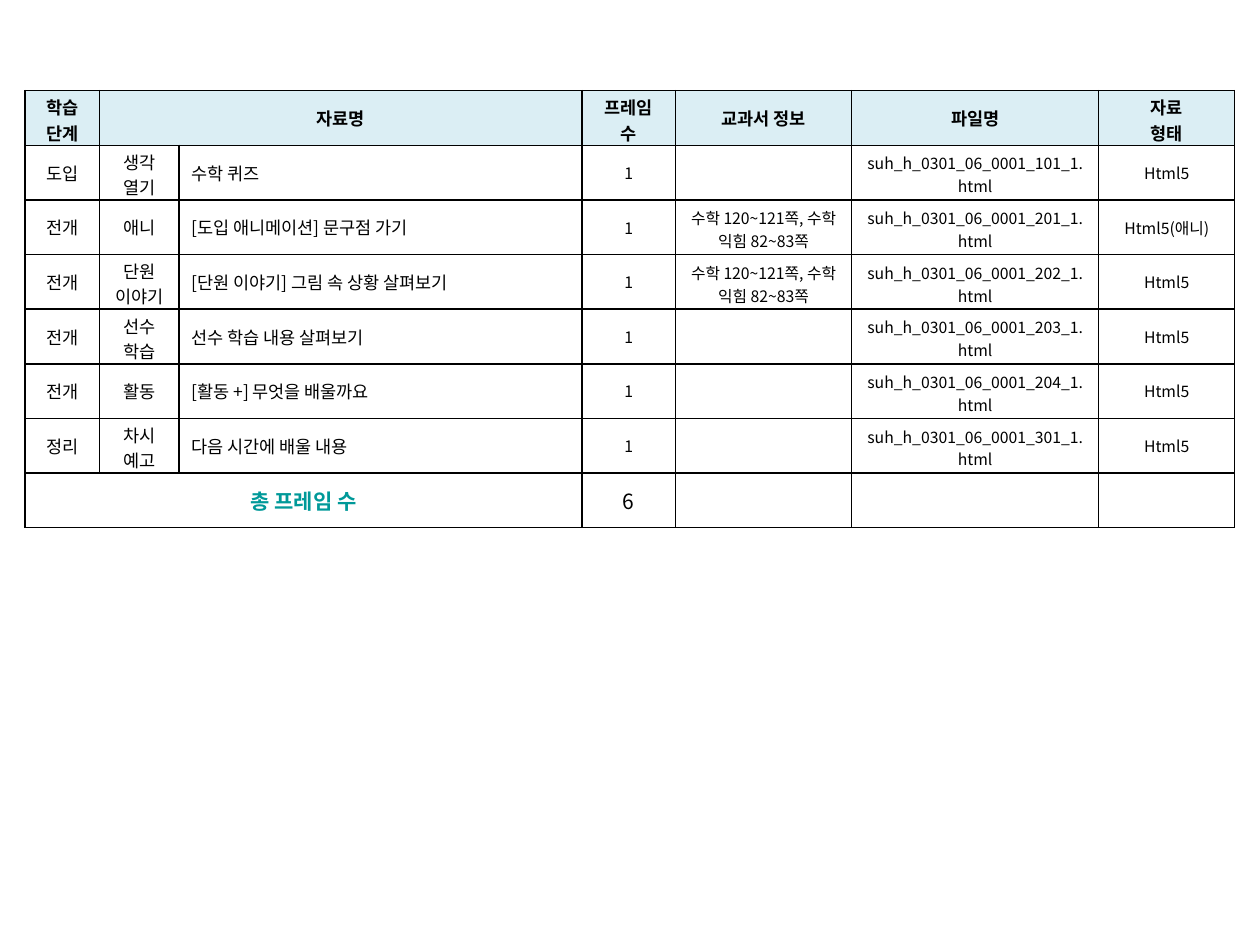
from lxml import etree
from pptx import Presentation
from pptx import util as u
from pptx.dml.color import RGBColor
from pptx.enum import text
from pptx.oxml import ns

FONT = "Noto Sans CJK KR"
COLUMN_WIDTHS = [0.59, 0.63, 3.2, 0.74, 1.4, 1.96, 1.08]
HEADINGS = ["학습 단계", "자료명", "", "프레임 수", "교과서 정보", "파일명", "자료\n형태"]
PAGES = "수학 120~121쪽, 수학 익힘 82~83쪽"
LESSONS = [
    ("도입", "생각\n열기", "수학 퀴즈", "", "101", "Html5"),
    ("전개", "애니", "[도입 애니메이션] 문구점 가기", PAGES, "201", "Html5(애니)"),
    ("전개", "단원\n이야기", "[단원 이야기] 그림 속 상황 살펴보기", PAGES, "202", "Html5"),
    ("전개", "선수\v학습", "선수 학습 내용 살펴보기", "", "203", "Html5"),
    ("전개", "활동", "[활동 +] 무엇을 배울까요", "", "204", "Html5"),
    ("정리", "차시 예고", "다음 시간에 배울 내용", "", "301", "Html5"),
]
NAME_COLUMN = 2
FRAME_COLUMN = 3
TWO_LINE_HEADINGS = {0, 3, 6}
TWO_LINE_COLUMNS = {1, 4, 5}


def color(hex_code):
    """Return the colour for a hex string."""
    return RGBColor.from_string(hex_code)


def add_borders(cell, hex_code="000000", points=1):
    """Draw a solid line on each side of a cell."""
    properties = cell._tc.get_or_add_tcPr()
    for side in ("lnL", "lnR", "lnT", "lnB"):
        line = etree.SubElement(properties, ns.qn(f"a:{side}"), w=str(u.Pt(points)))
        fill = etree.SubElement(line, ns.qn("a:solidFill"))
        etree.SubElement(fill, ns.qn("a:srgbClr"), val=hex_code)


def style_font(font, size, bold, hex_code):
    """Set the face, size, weight and colour of a font."""
    font.size, font.bold, font.name = u.Pt(size), bold, FONT
    font.color.rgb = color(hex_code)
    etree.SubElement(font._element, ns.qn("a:ea"), typeface=FONT)


def fill_cell(cell, wording, size, bold=False, shade=None, centred=True, two_lines=False):
    """Write and format one cell, with tighter margins where it holds two lines."""
    add_borders(cell)
    if shade:
        cell.fill.solid()
        cell.fill.fore_color.rgb = color(shade)
    else:
        cell.fill.background()
    cell.vertical_anchor = text.MSO_ANCHOR.MIDDLE
    if two_lines:
        cell.margin_top, cell.margin_bottom = u.Inches(0.03), 0
    cell.text_frame.text = wording
    for paragraph in cell.text_frame.paragraphs:
        paragraph.alignment = text.PP_ALIGN.CENTER if centred else text.PP_ALIGN.LEFT
        style_font(paragraph.font, size, bold, "000000")


def add_lesson_table(slide, left, top, width, height):
    """Place the lesson material table in the given box."""
    row_count = len(LESSONS) + 2
    table = slide.shapes.add_table(
        row_count, len(COLUMN_WIDTHS), left, top, width, height).table
    table.first_row = table.horz_banding = False
    for column, share in zip(table.columns, COLUMN_WIDTHS):
        column.width = int(width * share / sum(COLUMN_WIDTHS))

    for index, heading in enumerate(HEADINGS):
        fill_cell(table.cell(0, index), heading, 10, bold=True, shade="DBEEF4",
                  two_lines=index in TWO_LINE_HEADINGS)

    for row, (stage, activity, name, pages, number, kind) in enumerate(LESSONS, 1):
        file_name = f"suh_h_0301_06_0001_{number}_1.html"
        for index, wording in enumerate((stage, activity, name, "1", pages, file_name, kind)):
            fill_cell(table.cell(row, index), wording,
                      size=10 if index < FRAME_COLUMN else 9,
                      centred=index != NAME_COLUMN,
                      two_lines=index in TWO_LINE_COLUMNS and len(wording) > 2)

    total = row_count - 1
    for index in range(len(COLUMN_WIDTHS)):
        fill_cell(table.cell(total, index), "", 12)
    for index, wording, bold, ink in ((0, "총 프레임 수", True, "009999"),
                                      (FRAME_COLUMN, str(len(LESSONS)), False, "000000")):
        paragraph = table.cell(total, index).text_frame.paragraphs[0]
        paragraph.text = wording
        paragraph.font.bold = bold
        paragraph.font.color.rgb = color(ink)

    table.cell(0, 1).merge(table.cell(0, NAME_COLUMN))
    table.cell(total, 0).merge(table.cell(total, NAME_COLUMN))


def main():
    """Build and save the slide."""
    deck = Presentation()
    deck.slide_width, deck.slide_height = u.Inches(10), u.Inches(7.5)
    slide = deck.slides.add_slide(deck.slide_layouts[6])
    add_lesson_table(slide, u.Inches(0.2), u.Inches(0.72), u.Inches(9.6), u.Inches(3.47))
    deck.save("out.pptx")


if __name__ == "__main__":
    main()
